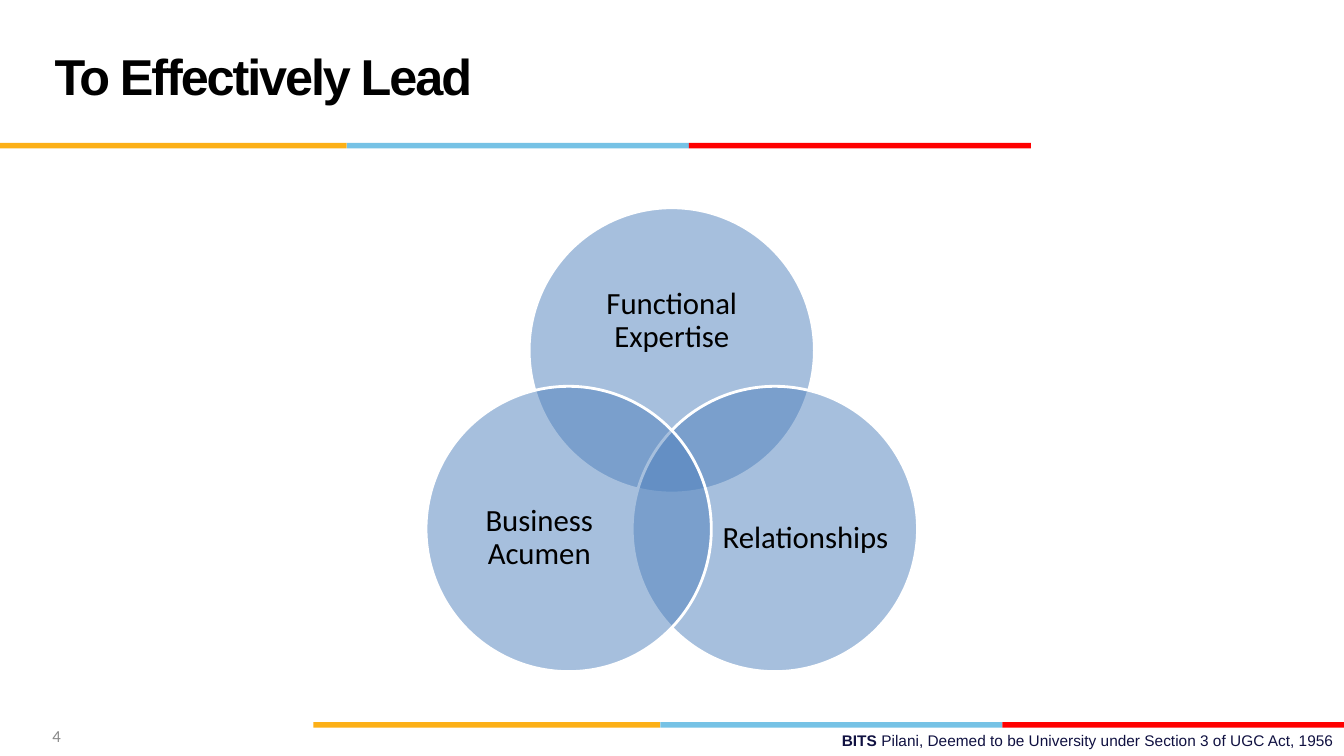
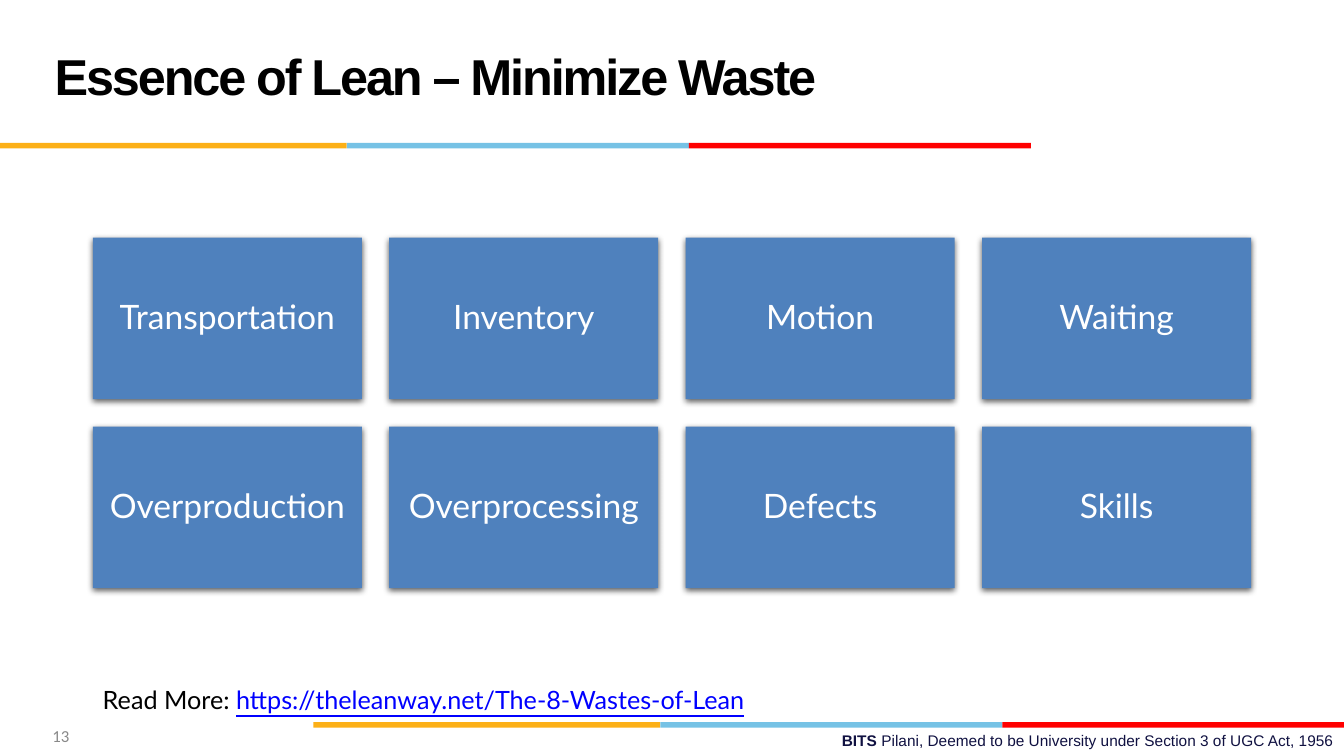
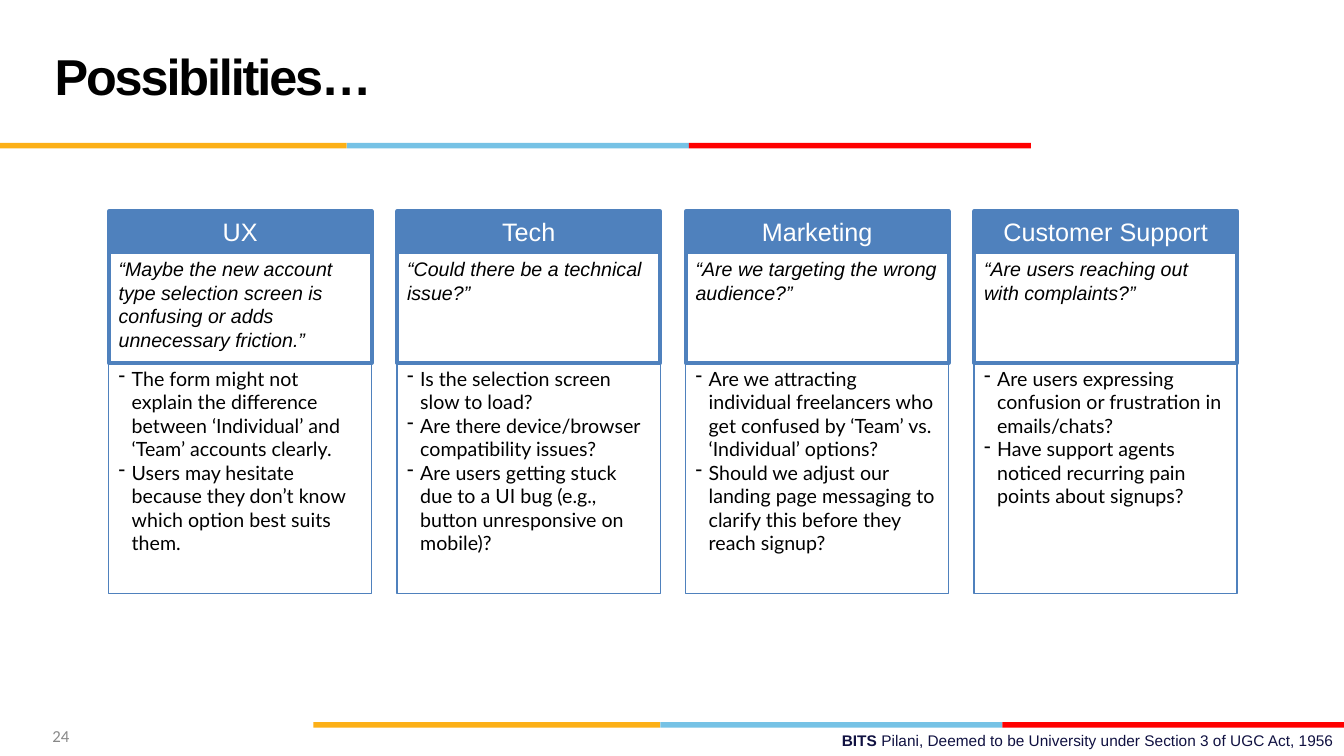
from math import cos, radians, sin

from lxml.etree import SubElement
from pptx import Presentation
from pptx.dml.color import RGBColor
from pptx.enum.shapes import MSO_SHAPE as Preset
from pptx.enum.text import MSO_ANCHOR as Anchor, MSO_AUTO_SIZE as AutoSize, PP_ALIGN as Align
from pptx.oxml.ns import qn
from pptx.util import Cm, Pt

rgb = RGBColor.from_string
BLUE, BLACK, WHITE = "4F81BD", "000000", "FFFFFF"
BAND_COLOURS = ("FCB017", "76C2E5", "FF0000")
BAND_WIDTHS = (8.74, 8.62, 8.62)


def add_box(slide, left, top, width, height, fill=None, line=None, weight=1, preset=Preset.RECTANGLE):
    box = slide.shapes.add_shape(preset, Cm(left), Cm(top), Cm(width), Cm(height))
    box.shadow.inherit = False
    if fill:
        box.fill.solid()
        box.fill.fore_color.rgb = rgb(fill)
    else:
        box.fill.background()
    if line:
        box.line.color.rgb = rgb(line)
        box.line.width = Pt(weight)
    else:
        box.line.fill.background()
    return box


def write(shape, lines, size, font, colour=BLACK, align=Align.LEFT, anchor=Anchor.TOP,
          spacing=None, inset=None, dashed=False):
    frame = shape.text_frame
    frame.word_wrap = True
    frame.auto_size = AutoSize.NONE
    frame.vertical_anchor = anchor
    if inset is not None:
        frame.margin_left = frame.margin_right = Cm(inset)
        frame.margin_top = frame.margin_bottom = Cm(inset)
    for index, line in enumerate(lines):
        paragraph = frame.add_paragraph() if index else frame.paragraphs[0]
        for part in line if isinstance(line, tuple) else (line,):
            paragraph.add_run().text = part
        paragraph.alignment = align
        if spacing:
            paragraph.line_spacing = spacing
        if dashed:
            properties = paragraph._p.get_or_add_pPr()
            properties.set("marL", str(Cm(0.33)))
            properties.set("indent", str(-Cm(0.33)))
            SubElement(properties, qn("a:buChar"), char="-")
        paragraph.font.size = Pt(size)
        paragraph.font.name = font
        paragraph.font.color.rgb = rgb(colour)
    return frame.paragraphs[0]


deck = Presentation()
deck.slide_width, deck.slide_height = Cm(33.87), Cm(19.05)
layout = deck.slide_layouts[5]
for placeholder in list(layout.placeholders)[1:]:
    layout.shapes.element.remove(placeholder.element)

slides = []
for number, heading in ((4, "To Effectively Lead"), (13, "Essence of Lean – Minimize Waste"), (24, "Possibilities…")):
    slide = deck.slides.add_slide(layout)
    title = slide.shapes.title
    title.left, title.top, title.width, title.height = Cm(1.12), Cm(0.43), Cm(23.42), Cm(3.18)
    heading_line = write(title, [heading], 36, "Arial", anchor=Anchor.MIDDLE, spacing=Pt(36))
    heading_line.font.bold = True
    heading_line.runs[0]._r.get_or_add_rPr().set("spc", "-150")
    page_number = slide.shapes.add_textbox(Cm(1.07), Cm(18.03), Cm(7.9), Cm(1.02))
    write(page_number, [str(number)], 12, "Calibri", "898989", anchor=Anchor.MIDDLE)
    slides.append(slide)
lead_slide, waste_slide, ideas_slide = slides

shared = []
for left, top in ((0, 3.6), (7.9, 18.2)):
    for colour, width in zip(BAND_COLOURS, BAND_WIDTHS):
        shared.append(add_box(lead_slide, left, top, width, 0.14, colour))
        left += width
footer = lead_slide.shapes.add_textbox(Cm(12.13), Cm(18.31), Cm(21.74), Cm(0.74))
footer_line = write(footer, [("BITS ", "Pilani, Deemed to be University under Section 3 of UGC Act, 1956")],
                    11, "Arial", "101141", Align.RIGHT)
footer_line.runs[0].font.bold = True
shared.append(footer)
for part in shared:
    layout.shapes.element.append(part.element)

DIAMETER = 7.19
skills = (
    ("Functional Expertise", -90, (14.3, 6.48, 5.26, 3.23)),
    ("Relationships", 30, (18.14, 11.58, 4.32, 3.96)),
    ("Business Acumen", 150, (11.43, 11.58, 4.32, 3.96)),
)
for skill, angle, label_place in skills:
    left = 16.93 + 3 * cos(radians(angle)) - DIAMETER / 2
    top = 11.83 + 3 * sin(radians(angle)) - DIAMETER / 2
    circle = add_box(lead_slide, left, top, DIAMETER, DIAMETER, BLUE, WHITE, 2, Preset.OVAL)
    fill_colour = circle.element.spPr.find(qn("a:solidFill")).find(qn("a:srgbClr"))
    SubElement(fill_colour, qn("a:alpha"), val="50000")
    label = lead_slide.shapes.add_textbox(*map(Cm, label_place))
    write(label, [skill], 22, "Calibri", align=Align.CENTER, anchor=Anchor.MIDDLE, spacing=0.9, inset=0)

TILE_WIDTH, TILE_HEIGHT, TILE_GAP = 6.78, 4.07, 0.69
wastes = ("Transportation", "Inventory", "Motion", "Waiting",
          "Overproduction", "Overprocessing", "Defects", "Skills")
for index, waste in enumerate(wastes):
    row, column = divmod(index, 4)
    tile = add_box(waste_slide, 2.34 + column * (TILE_WIDTH + TILE_GAP), 5.99 + row * (TILE_HEIGHT + TILE_GAP),
                   TILE_WIDTH, TILE_HEIGHT, BLUE)
    shadow = SubElement(tile.element.spPr.find(qn("a:effectLst")), qn("a:outerShdw"), blurRad=str(Pt(4.5)),
                        dist=str(Pt(1.5)), dir="5400000", rotWithShape="0")
    shadow_colour = SubElement(shadow, qn("a:srgbClr"), val=BLACK)
    SubElement(shadow_colour, qn("a:alpha"), val="63000")
    write(tile, [waste], 24, "Lato", WHITE, Align.CENTER, Anchor.MIDDLE, 0.9, 0.3)

read_more = waste_slide.shapes.add_textbox(Cm(2.34), Cm(17.12), Cm(16.94), Cm(1.02))
read_more_line = write(read_more, [("Read More: ", "https://theleanway.net/The-8-Wastes-of-Lean")], 18, "Lato")
address = read_more_line.runs[1]
address.font.color.rgb = rgb("0000FF")
address.font.underline = True

CARD_WIDTH, CARD_PITCH = 6.63, 7.27
teams = (
    ("UX", "“Maybe the new account type selection screen is confusing or adds unnecessary friction.”",
     ["The form might not explain the difference between ‘Individual’ and ‘Team’ accounts clearly.",
      "Users may hesitate because they don’t know which option best suits them."]),
    ("Tech", "“Could there be a technical issue?”",
     ["Is the selection screen slow to load?",
      "Are there device/browser compatibility issues?",
      "Are users getting stuck due to a UI bug (e.g., button unresponsive on mobile)?"]),
    ("Marketing", "“Are we targeting the wrong audience?”",
     ["Are we attracting individual freelancers who get confused by ‘Team’ vs. ‘Individual’ options?",
      "Should we adjust our landing page messaging to clarify this before they reach signup?"]),
    ("Customer Support", "“Are users reaching out with complaints?”",
     ["Are users expressing confusion or frustration in emails/chats?",
      "Have support agents noticed recurring pain points about signups?"]),
)
for index, (team, quote, questions) in enumerate(teams):
    left = 2.74 + index * CARD_PITCH
    quote_box = add_box(ideas_slide, left, 6.35, CARD_WIDTH, 2.79, line=BLUE, weight=3)
    write(quote_box, [quote], 14, "Arial").font.italic = True
    team_box = add_box(ideas_slide, left, 5.33, CARD_WIDTH, 1.02, BLUE, BLUE, 3)
    write(team_box, [team], 18, "Arial", WHITE, Align.CENTER)
    question_box = add_box(ideas_slide, left, 9.11, CARD_WIDTH, 5.84, line=BLUE)
    write(question_box, questions, 14, "Lato", dashed=True)

deck.save("out.pptx")
